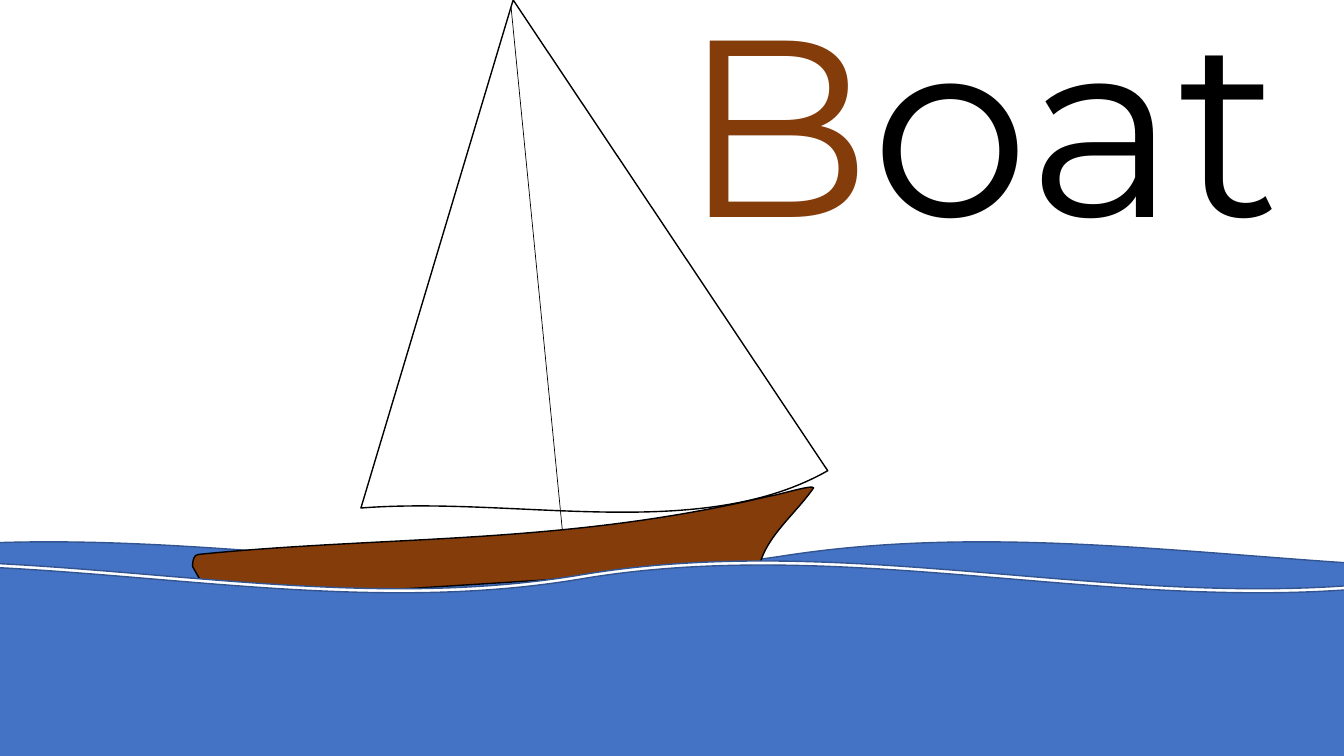
from lxml import etree
from pptx import Presentation
from pptx.dml.color import RGBColor
from pptx.enum.shapes import MSO_CONNECTOR, MSO_SHAPE
from pptx.enum.text import MSO_ANCHOR, MSO_AUTO_SIZE, PP_ALIGN
from pptx.oxml.ns import qn
from pptx.util import Inches, Pt

BROWN = RGBColor(0x84, 0x3C, 0x0B)
BLUE = RGBColor(0x44, 0x72, 0xC4)
NAVY = RGBColor(0x32, 0x54, 0x91)
BLACK = RGBColor(0, 0, 0)
WHITE = RGBColor(0xFF, 0xFF, 0xFF)

# Content: title runs, waves and boat outlines, in inches
TITLE = [("B", BROWN), ("oat", BLACK)]
BACK_WAVE = (-1.47, 5.37, 18.5, BLUE)
FRONT_WAVES = [(-2.75, 5.56, 17.03, WHITE), (-2.75, 5.6, 17.03, BLUE)]
WAVE_HEIGHT = 2.29
MAST = (5.07, 0.08, 5.61, 5.59)
# Each outline step is a line end (x, y) or a Bezier (two controls and an end)
SAIL = [(3.58, 5.04), (5.09, 0), (8.21, 4.67),
        (6.94, 5.39, 5.12, 4.92, 3.58, 5.04)]
HULL = [(1.91, 5.62),
        (1.91, 5.57, 1.92, 5.5, 1.97, 5.5),
        (3.86, 5.31, 5.58, 5.41, 7.64, 4.92),
        (7.69, 4.92, 8.07, 4.8, 8.07, 4.84),
        (7.89, 5.1, 7.6, 5.32, 7.53, 5.62),
        (2.29, 5.95),
        (2.24, 5.95, 2.08, 5.94, 2.07, 5.9),
        (1.91, 5.62)]


def paint(sp, fill, line):
    sp.shadow.inherit = False
    sp.fill.solid()
    sp.fill.fore_color.rgb = fill
    sp.line.color.rgb = line
    sp.line.width = Pt(1)


def add_wave(shapes, left, top, width, fill):
    sp = shapes.add_shape(MSO_SHAPE.DOUBLE_WAVE, Inches(left), Inches(top),
                          Inches(width), Inches(WAVE_HEIGHT))
    paint(sp, fill, NAVY)


def add_outline(shapes, steps, fill):
    ends = [(Inches(step[-2]), Inches(step[-1])) for step in steps]
    builder = shapes.build_freeform(*ends[0])
    builder.add_line_segments(ends[1:], close=True)
    sp = builder.convert_to_shape()
    paint(sp, fill, BLACK)
    # Bend the segments that have control points
    segments = list(sp._element.iter(qn("a:lnTo")))
    for segment, step in zip(segments, steps[1:]):
        if len(step) == 2:
            continue
        segment.tag = qn("a:cubicBezTo")
        for i, (x, y) in enumerate((step[:2], step[2:4])):
            pt = etree.Element(qn("a:pt"), x=str(Inches(x) - sp.left),
                               y=str(Inches(y) - sp.top))
            segment.insert(i, pt)


prs = Presentation()
prs.slide_width, prs.slide_height = Inches(13.33), Inches(7.5)
slide = prs.slides.add_slide(prs.slide_layouts[5])
shapes = slide.shapes

# Title
title = shapes.title
title.left, title.top = Inches(6.66), Inches(-0.39)
title.width, title.height = Inches(12.03), Inches(3.13)
tf = title.text_frame
tf.word_wrap = True
tf.auto_size = MSO_AUTO_SIZE.NONE
tf.vertical_anchor = MSO_ANCHOR.TOP
p = tf.paragraphs[0]
p.alignment = PP_ALIGN.LEFT
for text, color in TITLE:
    r = p.add_run()
    r.text = text
    r.font.name = "Montserrat"
    r.font.size = Pt(180)
    r.font.color.rgb = color

# Sea behind the boat
add_wave(shapes, *BACK_WAVE)

# Boat: sail, mast and hull
boat = shapes.add_group_shape()
add_outline(boat.shapes, SAIL, WHITE)
mast = boat.shapes.add_connector(MSO_CONNECTOR.STRAIGHT, *map(Inches, MAST))
mast.line.color.rgb = BLACK
mast.line.width = Pt(0.5)
etree.SubElement(mast._element.spPr, qn("a:effectLst"))
add_outline(boat.shapes, HULL, BROWN)

# Sea in front of the boat
for wave in FRONT_WAVES:
    add_wave(shapes, *wave)

prs.save("out.pptx")
